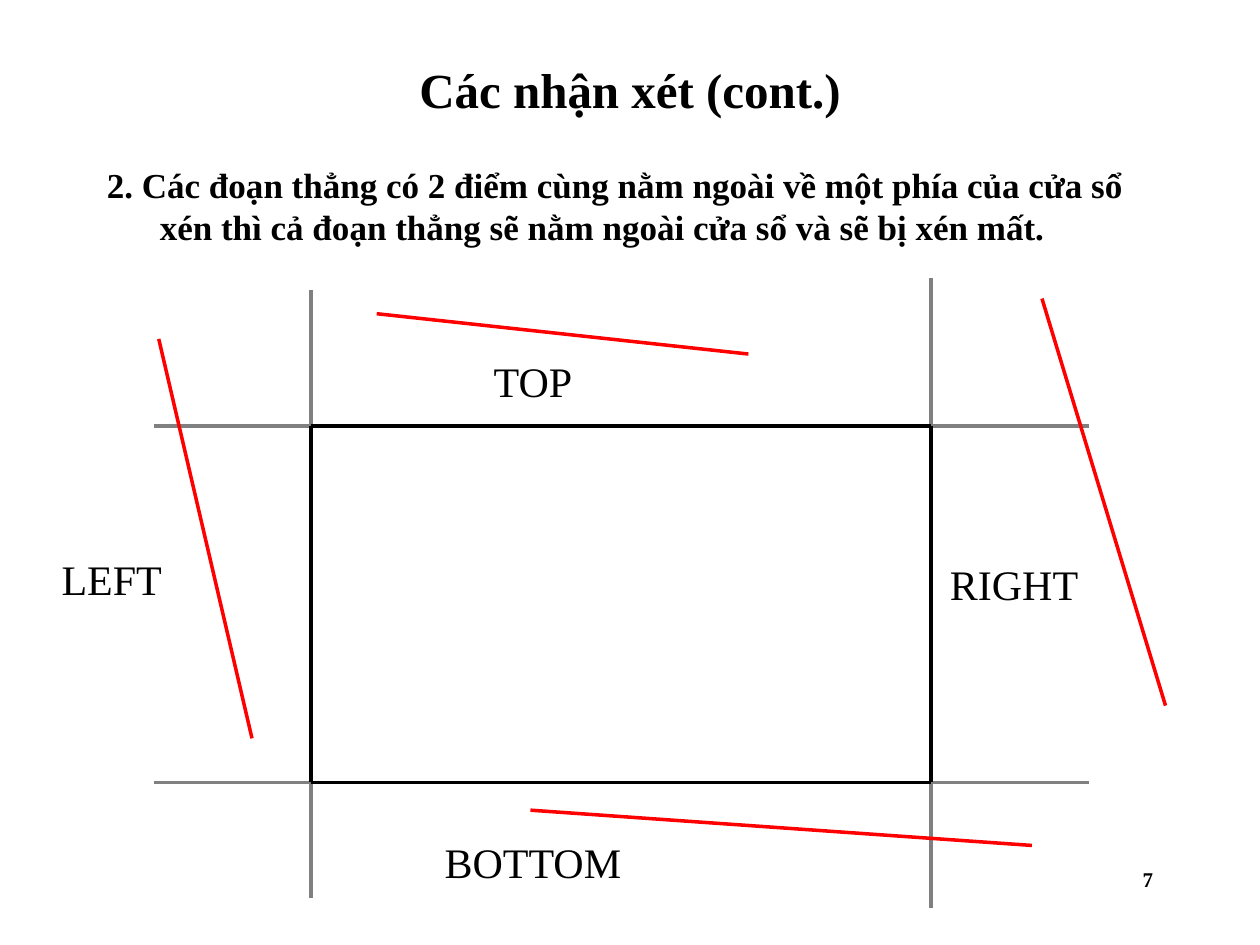
"""Build a slide on line segments lying wholly outside a clipping window."""
from lxml import etree
from pptx import Presentation
from pptx import util as u
from pptx.dml.color import RGBColor
from pptx.enum import shapes, text
from pptx.oxml.ns import qn

BLACK, GRAY, RED = "000000", "808080", "FF0000"
ALIGN = text.PP_ALIGN


def write(words, box, size, bold=False, align=ALIGN.LEFT, before=0):
    frame = slide.shapes.add_textbox(*map(u.Inches, box)).text_frame
    frame.word_wrap = True
    para = frame.paragraphs[0]
    para.text = words
    para.alignment = align
    para.space_before = u.Pt(before)
    para.font.name = "Times New Roman"
    para.font.size = u.Pt(size)
    para.font.bold = bold
    para.font.color.rgb = RGBColor.from_string(BLACK)
    return frame


def draw(owner, ends, color):
    line = owner.add_connector(shapes.MSO_CONNECTOR.STRAIGHT, *map(u.Inches, ends))
    line.line.color.rgb = RGBColor.from_string(color)
    line.line.width = u.Pt(2)
    etree.SubElement(line._element.spPr, qn("a:effectLst"))


deck = Presentation()
deck.slide_width, deck.slide_height = u.Inches(10), u.Inches(7.5)
slide = deck.slides.add_slide(deck.slide_layouts[6])

title = write("Các nhận xét (cont.)", (0.75, 0.33, 8.5, 0.75), 28, True, ALIGN.CENTER)
title.vertical_anchor = text.MSO_ANCHOR.MIDDLE

body = write(
    "2. Các đoạn thẳng có 2 điểm cùng nằm ngoài về một phía của cửa sổ "
    "xén thì cả đoạn thẳng sẽ nằm ngoài cửa sổ và sẽ bị xén mất.",
    (0.75, 1.25, 8.5, 1.08), 20, True, before=5)
props = body.paragraphs[0]._p.get_or_add_pPr()
props.set("marL", str(u.Inches(0.42)))
props.set("indent", str(u.Inches(-0.42)))

left, right, top, bottom = 2.47, 7.39, 3.38, 6.21
window = slide.shapes.add_group_shape().shapes
for x, start, end in ((left, 2.3, 7.13), (right, 2.21, 7.21)):
    draw(window, (x, start, x, end), GRAY)
for y in (top, bottom):
    draw(window, (1.22, y, 8.64, y), GRAY)
for x in (left, right):
    draw(window, (x, top, x, bottom), BLACK)
for y in (top, bottom):
    draw(window, (left, y, right, y), BLACK)

for ends in ((1.26, 2.69, 2, 5.86), (8.27, 2.37, 9.25, 5.6),
             (2.99, 2.49, 5.94, 2.81), (4.21, 6.43, 8.19, 6.71)):
    draw(slide.shapes, ends, RED)

for side, x, y, wide in (("LEFT", 0.39, 4.34, 1.06), ("RIGHT", 7.44, 4.38, 1.22),
                         ("TOP", 3.82, 2.77, 1.06), ("BOTTOM", 3.43, 6.59, 1.81)):
    label = write(side, (x, y, wide, 0.5), 24, before=15)
    label.auto_size = text.MSO_AUTO_SIZE.SHAPE_TO_FIT_TEXT

write("7", (7.17, 6.83, 2.08, 0.5), 12, True, ALIGN.RIGHT)

deck.save("out.pptx")
